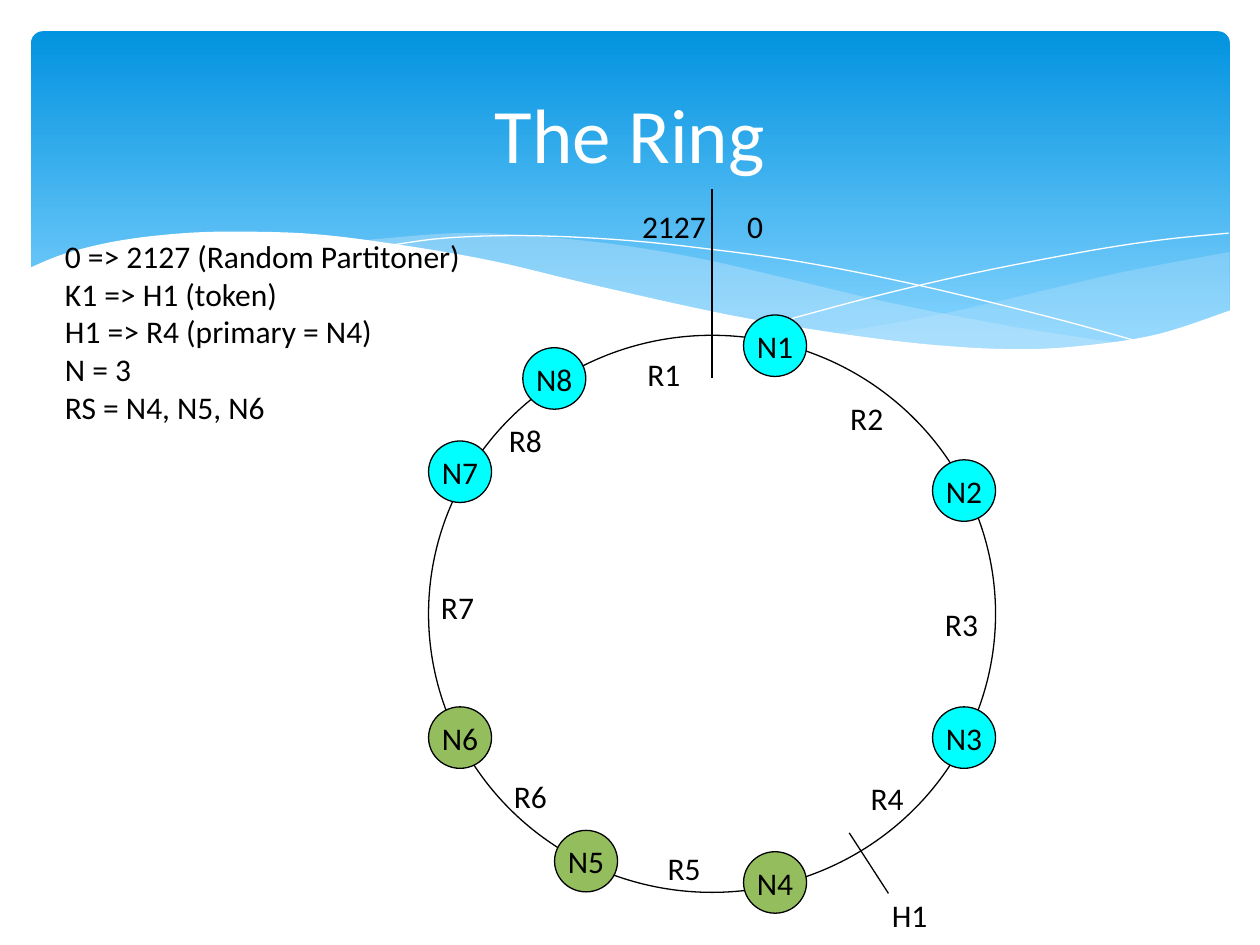
from dataclasses import dataclass

from lxml import etree
from pptx import Presentation, util as u
from pptx.dml.color import RGBColor
from pptx.enum import shapes, text
from pptx.oxml.ns import qn

BLACK, WHITE, CYAN, GREEN, PALE = "000000", "FFFFFF", "00FFFF", "94BD5E", "C6E7FC"
Point = tuple[float, float]
Edge = list[Point]


@dataclass
class Node:
    name: str
    x: float
    y: float
    fill: str = CYAN


@dataclass
class Label:
    words: str
    x: float
    y: float
    w: float = 1.91
    align: text.PP_ALIGN = text.PP_ALIGN.LEFT


@dataclass
class Wave:
    edges: list[Edge]
    fill: str | None = None
    alpha: int = 100


@dataclass
class Tick:
    start: Point
    end: Point
    width: float


WAVES = [
    Wave([[(24.79, 5.08), (23.01, 5.41), (21.87, 5.66), (19.13, 6.3), (16.79, 6.73)],
          [(16.79, 6.73), (17.91, 6.88), (19.23, 7.01), (20.4, 7.06), (21.69, 7.01),
           (22.99, 6.83), (24.1, 6.53), (24.79, 6.27)]], PALE, 29),
    Wave([[(22.68, 6.93), (20.5, 6.6), (17.93, 6.1), (15.98, 5.64), (14.1, 5.21),
           (12.42, 4.93), (10.67, 4.75), (9.17, 4.7), (7.26, 4.85)],
          [(7.26, 4.85), (9.19, 5.16), (11.4, 5.64), (13.46, 6.1), (15.7, 6.55),
           (17.65, 6.86), (19.33, 7.04), (20.78, 7.06), (22.68, 6.93)]], PALE, 40),
    Wave([[(7.85, 4.95), (8.97, 4.8), (10.57, 4.75), (12.42, 4.83), (14.12, 5),
           (16.15, 5.28), (18.47, 5.74), (21.11, 6.38), (23.04, 6.91)]]),
    Wave([[(15.57, 6.53), (17.65, 5.97), (19.71, 5.49), (22, 5.05), (23.47, 4.83),
           (24.77, 4.7)]]),
    Wave([[(24.82, 6.25), (23.37, 6.73), (21.92, 6.96), (20.55, 7.04), (18.9, 6.96),
           (16.97, 6.73), (14.71, 6.35), (12.07, 5.77), (9.93, 5.26), (8.03, 4.93),
           (6.35, 4.72), (4.9, 4.67), (3.71, 4.7), (2.41, 4.85), (1.32, 5.11),
           (0.58, 5.41)],
          [(0.58, 8.36), (24.82, 8.36)]], WHITE),
]
NODES = [
    Node("N1", 14.99, 6.35), Node("N2", 18.8, 9.27), Node("N3", 18.8, 14.25),
    Node("N4", 14.99, 17.17, GREEN), Node("N5", 11.18, 16.74, GREEN),
    Node("N6", 8.64, 14.25, GREEN), Node("N7", 8.64, 8.89), Node("N8", 10.54, 7.01),
]
LABELS = [
    Label("R1", 12.8, 7.04), Label("R2", 16.89, 7.92), Label("R3", 18.8, 12.07),
    Label("R4", 17.3, 15.57), Label("R5", 13.21, 16.99), Label("R6", 10.11, 15.54),
    Label("R7", 8.64, 11.73), Label("R8", 10.01, 8.36), Label("H1", 17.73, 17.93),
    Label("2127", 12.2, 4.04, 2.28, text.PP_ALIGN.RIGHT), Label("0", 14.81, 4.04, 1.2),
]
TICKS = [Tick((14.35, 3.81), (14.35, 7.62), 1.45), Tick((17.12, 16.79), (17.91, 18.01), 0.75)]
NOTES = ["0 => 2127 (Random Partitoner)", "K1 => H1 (token)", "H1 => R4 (primary = N4)",
         "N = 3", "RS = N4, N5, N6"]


def rgb(value: str) -> RGBColor:
    return RGBColor.from_string(value)


def paint(sp, fill: str | None, line: str | None, width: float = 0.75) -> None:
    sp.shadow.inherit = False
    if fill:
        sp.fill.solid()
        sp.fill.fore_color.rgb = rgb(fill)
    else:
        sp.fill.background()
    if line:
        sp.line.color.rgb = rgb(line)
        sp.line.width = u.Pt(width)
    else:
        sp.line.fill.background()


def write(sp, lines: list[str], size: float = 18, color: str = BLACK,
          align=text.PP_ALIGN.LEFT, anchor=text.MSO_ANCHOR.TOP, wrap: bool = True) -> None:
    tf = sp.text_frame
    tf.word_wrap = wrap
    tf.vertical_anchor = anchor
    for i, line in enumerate(lines):
        p = tf.add_paragraph() if i else tf.paragraphs[0]
        p.alignment = align
        r = p.add_run()
        r.text = line
        r.font.name = "Calibri"
        r.font.size = u.Pt(size)
        r.font.color.rgb = rgb(color)


def add_box(s, x: float, y: float, w: float, h: float):
    return s.shapes.add_textbox(u.Cm(x), u.Cm(y), u.Cm(w), u.Cm(h))


def add_preset(s, kind, x: float, y: float, w: float, h: float):
    return s.shapes.add_shape(kind, u.Cm(x), u.Cm(y), u.Cm(w), u.Cm(h))


def smooth(edge: Edge, steps: int = 6) -> Edge:
    padded = [edge[0], *edge, edge[-1]]
    curve = [edge[0]]
    for a, b, c, d in zip(padded, padded[1:], padded[2:], padded[3:]):
        for k in range(1, steps + 1):
            t = k / steps
            x, y = (
                q + t * (r - p + t * (2 * p - 5 * q + 4 * r - v
                                      + t * (3 * q - p - 3 * r + v))) / 2
                for p, q, r, v in zip(a, b, c, d)
            )
            curve.append((x, y))
    return curve


def add_wave(s, wave: Wave) -> None:
    points = [(u.Cm(x), u.Cm(y)) for edge in wave.edges for x, y in smooth(edge)]
    builder = s.shapes.build_freeform(*points[0])
    builder.add_line_segments(points[1:], close=wave.fill is not None)
    sp = builder.convert_to_shape()
    paint(sp, wave.fill, None if wave.fill else WHITE, 0)
    if wave.alpha < 100:
        color = sp.fill._xPr.find(qn("a:solidFill"))[0]
        etree.SubElement(color, qn("a:alpha")).set("val", str(wave.alpha * 1000))


def add_banner(s) -> None:
    sp = add_preset(s, shapes.MSO_SHAPE.ROUNDED_RECTANGLE, 0.63, 0.63, 24.16, 6.86)
    sp.adjustments[0] = 0.034
    paint(sp, None, None)
    sp.fill.gradient()
    sp.fill.gradient_angle = 270
    for stop, place, color in zip(sp.fill.gradient_stops, (0, 0.9), ("0293E0", "83D3FE")):
        stop.position = place
        stop.color.rgb = rgb(color)


def add_node(s, node: Node) -> None:
    sp = add_preset(s, shapes.MSO_SHAPE.OVAL, node.x, node.y, 1.27, 1.24)
    paint(sp, node.fill, BLACK)
    write(sp, [node.name], align=text.PP_ALIGN.CENTER, anchor=text.MSO_ANCHOR.MIDDLE, wrap=False)


def add_tick(s, tick: Tick) -> None:
    ends = [u.Cm(v) for v in (*tick.start, *tick.end)]
    line = s.shapes.add_connector(shapes.MSO_CONNECTOR.STRAIGHT, *ends)
    line.line.color.rgb = rgb(BLACK)
    line.line.width = u.Pt(tick.width)
    etree.SubElement(line._element.spPr, qn("a:effectLst"))


prs = Presentation()
prs.slide_width, prs.slide_height = u.Cm(25.4), u.Cm(19.05)
s = prs.slides.add_slide(prs.slide_layouts[6])

add_banner(s)
for wave in WAVES:
    add_wave(s, wave)
write(add_box(s, 1.27, 0.94, 22.86, 3.48), ["The Ring"], 44, WHITE,
      text.PP_ALIGN.CENTER, text.MSO_ANCHOR.MIDDLE)
write(add_box(s, 1.06, 4.65, 12.7, 4.88), NOTES)
paint(add_preset(s, shapes.MSO_SHAPE.OVAL, 8.64, 6.76, 11.43, 11.23), None, BLACK)
for node in NODES:
    add_node(s, node)
for label in LABELS:
    write(add_box(s, label.x, label.y, label.w, 1.04), [label.words], align=label.align)
for tick in TICKS:
    add_tick(s, tick)

prs.save("out.pptx")
